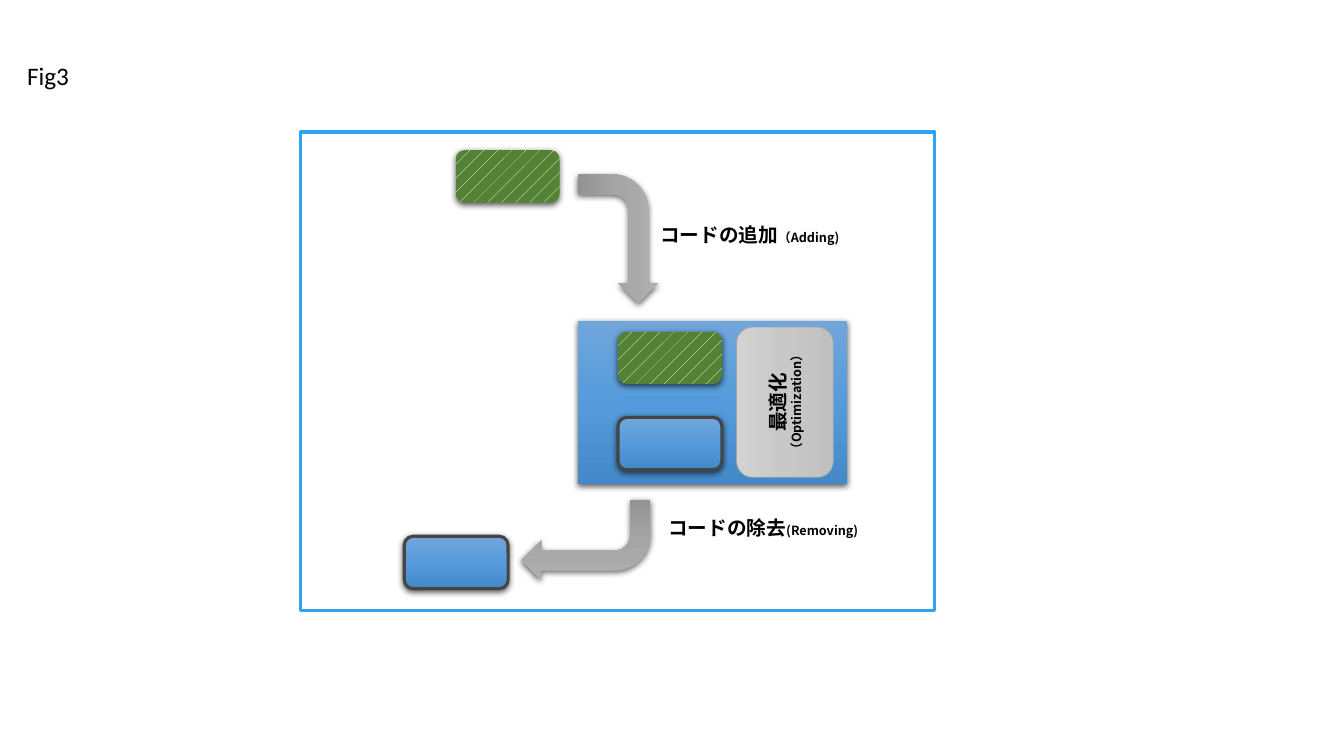
from lxml.etree import SubElement
from pptx import Presentation
from pptx.dml.color import RGBColor
from pptx.enum.dml import MSO_PATTERN
from pptx.enum.shapes import MSO_SHAPE
from pptx.enum.text import MSO_ANCHOR, MSO_AUTO_SIZE, PP_ALIGN
from pptx.oxml.ns import qn
from pptx.util import Inches, Pt

BLUE = ["71A6DB", "559BDB", "448ACA"]
ARROW_GRAY = ["AFAFAF", "A5A5A5", "939393"]
LIGHT_GRAY = ["D2D2D2", "C8C8C8", "C0C0C0"]
GREEN = "548235"
JAPANESE = "Noto Sans CJK JP"


def add_block(kind, box, fill, line=None, line_width=2.25, rotation=0, shadow=True):
    """Add a shape; a list fills it with a gradient, GREEN with a pattern."""
    shape = slide.shapes.add_shape(kind, *map(Inches, box))
    shape.rotation = rotation
    shape.shadow.inherit = False
    if isinstance(fill, list):
        shape.fill.gradient()
        shape.fill.gradient_angle = 270
        properties = shape._element.spPr
        stops = properties.find(".//" + qn("a:gsLst"))
        stops.clear()
        for position, color in zip((0, 50000, 100000), fill):
            stop = SubElement(stops, qn("a:gs"), pos=str(position))
            SubElement(stop, qn("a:srgbClr"), val=color)
    elif fill == GREEN:
        shape.fill.patterned()
        shape.fill.pattern = MSO_PATTERN.PERCENT_5
        shape.fill.fore_color.rgb = RGBColor.from_string("FFFFFF")
        shape.fill.back_color.rgb = RGBColor.from_string(GREEN)
    else:
        shape.fill.solid()
        shape.fill.fore_color.rgb = RGBColor.from_string(fill)
    if line:
        shape.line.color.rgb = RGBColor.from_string(line)
        shape.line.width = Pt(line_width)
    else:
        shape.line.fill.background()
    if shadow:
        effects = shape._element.spPr.find(qn("a:effectLst"))
        outer = SubElement(effects, qn("a:outerShdw"), blurRad=str(Pt(4.5)),
                           dist=str(Pt(1.5)), dir="5400000", rotWithShape="0")
        color = SubElement(outer, qn("a:srgbClr"), val="000000")
        SubElement(color, qn("a:alpha"), val="63000")
    return shape


def add_run(paragraph, text, size, font=JAPANESE, bold=True):
    """Append a black run, using the font for Latin and East Asian text."""
    run = paragraph.add_run()
    run.text = text
    run.font.size = Pt(size)
    run.font.bold = bold
    run.font.name = font
    run.font.color.rgb = RGBColor.from_string("000000")
    SubElement(run._r.get_or_add_rPr(), qn("a:ea"), typeface=font)


presentation = Presentation()
presentation.slide_width = Inches(13.33)
presentation.slide_height = Inches(7.5)
slide = presentation.slides.add_slide(presentation.slide_layouts[6])

# Frame and the program that receives and loses code
add_block(MSO_SHAPE.RECTANGLE, (2.98, 1.31, 6.29, 4.75), "FFFFFF", "2CA4F2", shadow=False)
add_block(MSO_SHAPE.RECTANGLE, (5.73, 3.18, 2.67, 1.62), BLUE)

# Arrows into and out of the program
for left, top, rotation in [(5.49, 1.97, 90), (5.17, 4.96, 180)]:
    add_block(MSO_SHAPE.BENT_ARROW, (left, top, 1.28, 0.8), ARROW_GRAY, rotation=rotation)

# Code blocks: green ones are added, outlined blue ones are removed
for left, top, fill, line in [
    (4.52, 1.49, GREEN, None),
    (6.13, 3.29, GREEN, None),
    (6.13, 4.14, BLUE, "454545"),
    (4.01, 5.32, BLUE, "454545"),
]:
    add_block(MSO_SHAPE.ROUNDED_RECTANGLE, (left, top, 1.03, 0.52), fill, line)

# Optimization block, turned to read upwards
optimization = add_block(MSO_SHAPE.ROUNDED_RECTANGLE, (7.04, 3.51, 1.49, 0.96),
                         LIGHT_GRAY, "A5A5A5", 0.5, rotation=270, shadow=False)
text_frame = optimization.text_frame
text_frame.vertical_anchor = MSO_ANCHOR.MIDDLE
for paragraph, text, size in [
    (text_frame.paragraphs[0], "最適化", 14),
    (text_frame.add_paragraph(), "（Optimization）", 9),
]:
    paragraph.alignment = PP_ALIGN.CENTER
    add_run(paragraph, text, size)

# Labels
for box, runs in [
    ((6.45, 2.16, 2.04, 0.34), [("コードの追加", 14), ("（Adding)", 9)]),
    ((6.53, 5.07, 2.17, 0.34), [("コードの除去", 14), ("(Removing)", 9)]),
    ((0.17, 0.55, 0.62, 0.4), [("Fig3", 18, "Calibri", False)]),
]:
    label = slide.shapes.add_textbox(*map(Inches, box))
    label.text_frame.word_wrap = False
    label.text_frame.auto_size = MSO_AUTO_SIZE.SHAPE_TO_FIT_TEXT
    for run in runs:
        add_run(label.text_frame.paragraphs[0], *run)

presentation.save("out.pptx")
